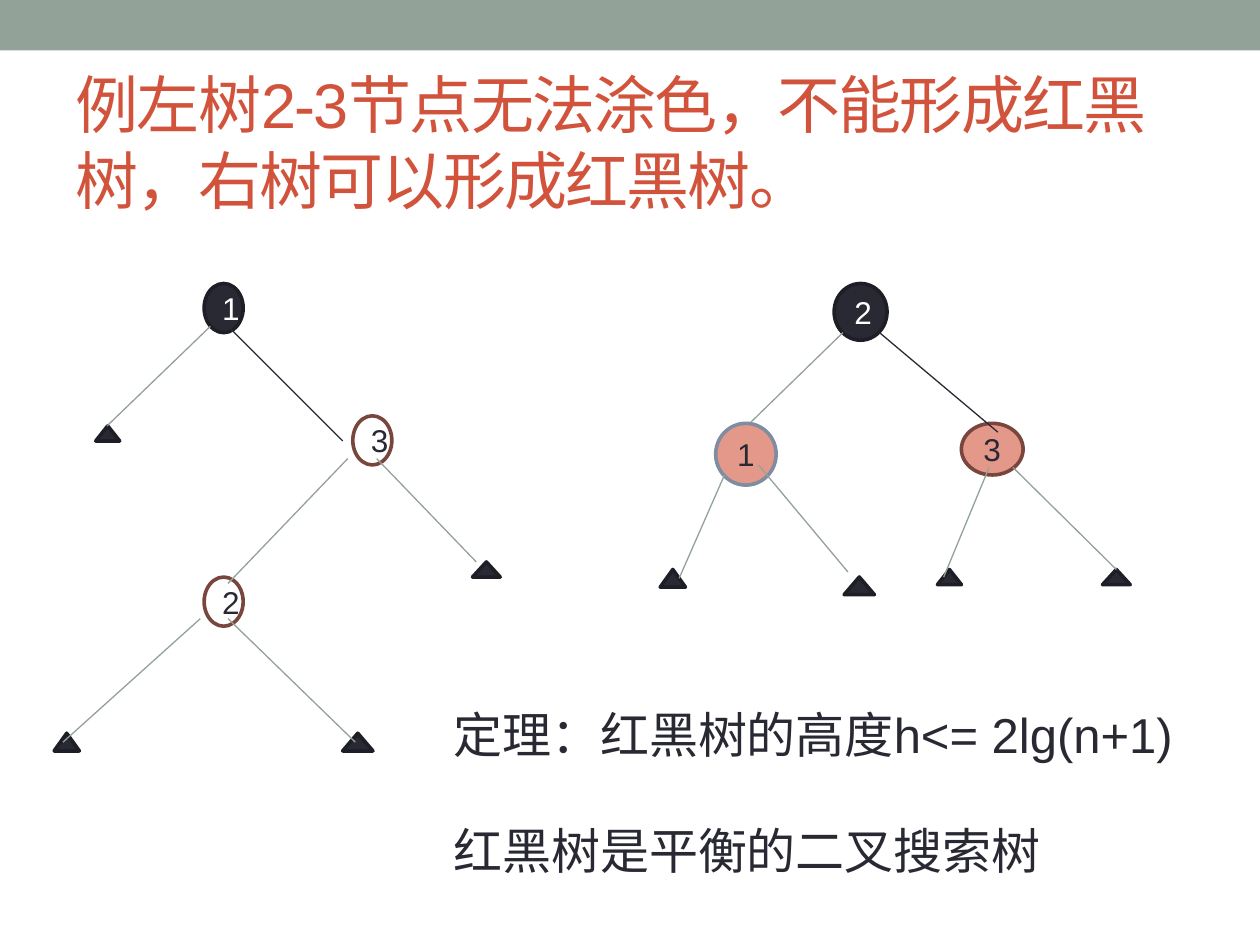
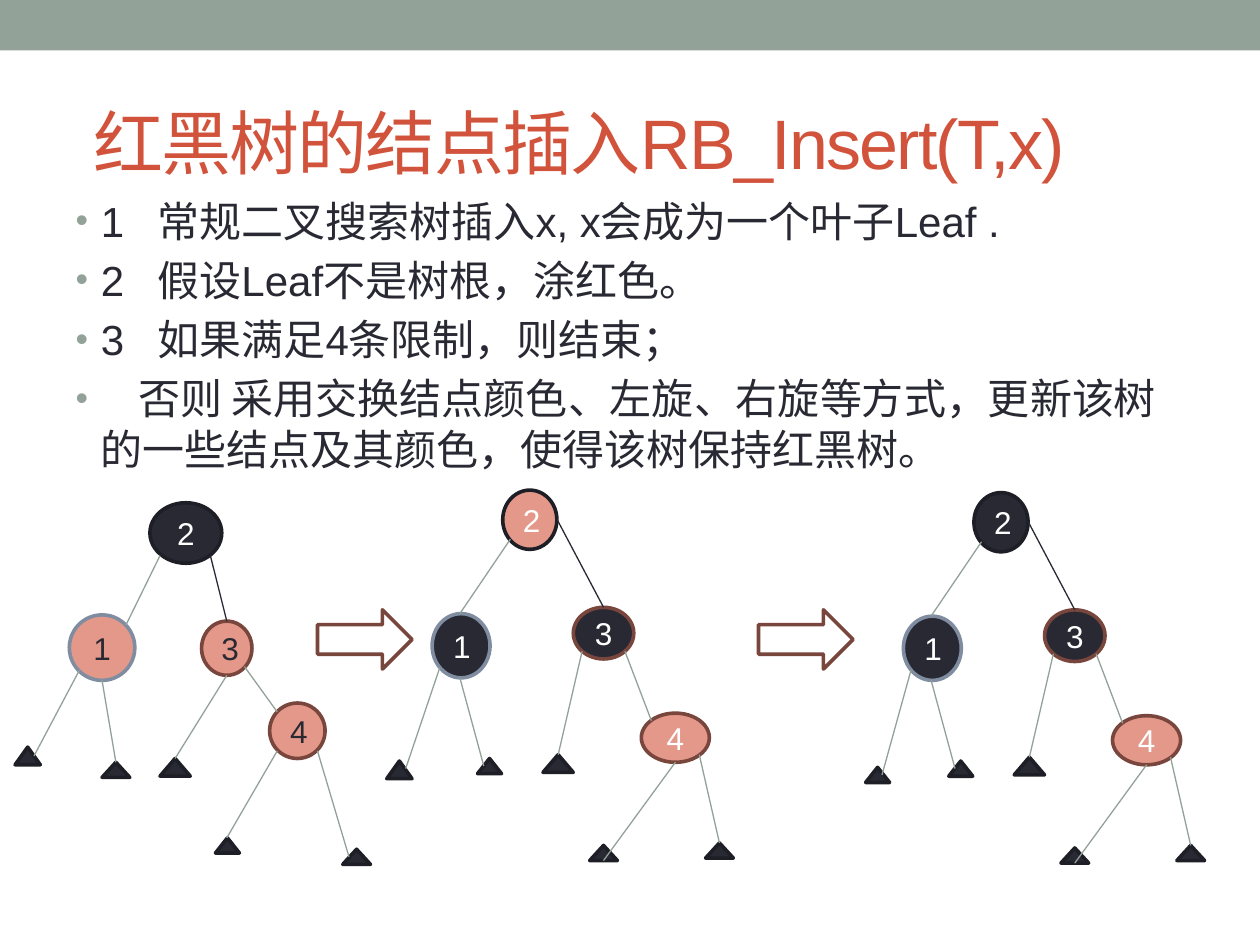
from lxml import etree
from pptx import Presentation
from pptx import util as u
from pptx.dml.color import RGBColor
from pptx.enum import lang, shapes, text
from pptx.oxml import ns

PX = 9144  # EMU in one px, 100 px to the inch
FONT = "Arial"
SAGE, RUST, WHITE = "93A299", "D2533C", "FFFFFF"
INK, INK_EDGE = "292934", "1E1E26"
RED, BROWN, STEEL = "E4988A", "79463D", "808DA0"


def px(*lengths):
    return [u.Emu(length * PX) for length in lengths]


def rgb(colour):
    return RGBColor.from_string(colour)


def add_xml(parent, tag, **attributes):
    return etree.SubElement(parent, ns.qn(tag), attributes)


def write(paragraph, words, size=18, colour=INK, align=text.PP_ALIGN.LEFT,
          before=0, spacing=None, bullet=None, tab=None):
    """Fill one paragraph; spacing is in hundredths of a point, tab in px."""
    paragraph.alignment = align
    paragraph.space_before = u.Pt(before)
    props = paragraph._p.get_or_add_pPr()
    if bullet:
        props.set("marL", str(20 * PX))
        props.set("indent", str(-20 * PX))
        add_xml(add_xml(props, "a:buClr"), "a:srgbClr", val=SAGE)
        add_xml(props, "a:buSzPct", val="85000")
        add_xml(props, "a:buFont", typeface=FONT)
        add_xml(props, "a:buChar", char=bullet)
    if tab:
        add_xml(add_xml(props, "a:tabLst"), "a:tab", pos=str(tab * PX), algn="l")
    run = paragraph.add_run()
    run.text = words
    run.font.name = FONT
    run.font.size = u.Pt(size)
    run.font.color.rgb = rgb(colour)
    run.font.language_id = lang.MSO_LANGUAGE_ID.SIMPLIFIED_CHINESE
    if spacing:
        run._r.get_or_add_rPr().set("spc", str(spacing))


class Deck:
    def __init__(self):
        self.show = Presentation()
        self.show.slide_width, self.show.slide_height = px(1000, 750)
        self.slide = None

    def new_slide(self, layout, title, size, pad=10):
        self.slide = self.show.slides.add_slide(self.show.slide_layouts[layout])
        self.shape(shapes.MSO_SHAPE.RECTANGLE, (0, 0, 1000, 40), SAGE)
        frame = self.place(self.slide.shapes.title, (50, 58, 900, 108))
        frame.vertical_anchor = text.MSO_ANCHOR.MIDDLE
        frame.margin_left = px(pad)[0]
        write(frame.paragraphs[0], title, size=size, colour=RUST, spacing=-100)

    def place(self, box, at):
        box.left, box.top, box.width, box.height = px(*at)
        frame = box.text_frame
        frame.word_wrap = True
        frame.auto_size = text.MSO_AUTO_SIZE.NONE
        return frame

    def shape(self, preset, at, fill, edge=None):
        shape = self.slide.shapes.add_shape(preset, *px(*at))
        shape.shadow.inherit = False
        shape.fill.solid()
        shape.fill.fore_color.rgb = rgb(fill)
        if edge:
            shape.line.color.rgb = rgb(edge)
            shape.line.width = u.Pt(2.08)
        else:
            shape.line.fill.background()
        return shape

    def node(self, key, at, fill, edge, ink):
        circle = self.shape(shapes.MSO_SHAPE.OVAL, at, fill, edge)
        write(circle.text_frame.paragraphs[0], key, colour=ink,
              align=text.PP_ALIGN.CENTER)

    def leaf(self, at):
        self.shape(shapes.MSO_SHAPE.ISOSCELES_TRIANGLE, at, INK, INK_EDGE)

    def arrow(self, at):
        self.shape(shapes.MSO_SHAPE.RIGHT_ARROW, at, WHITE, BROWN)

    def branch(self, ends, colour=SAGE):
        line = self.slide.shapes.add_connector(
            shapes.MSO_CONNECTOR.STRAIGHT, *px(*ends))
        line.line.color.rgb = rgb(colour)
        line.line.width = u.Pt(0.75)
        add_xml(line._element.spPr, "a:effectLst")

    def tree(self, nodes, leaves, trunk, branches, dx=0, dy=0):
        """Draw a tree moved by dx, dy; the trunk is its one dark branch."""
        def moved(at):
            return at[0] + dx, at[1] + dy, *at[2:]

        def moved_ends(ends):
            return [end + step for end, step in zip(ends, (dx, dy, dx, dy))]

        for key, at, *colours in nodes:
            self.node(key, moved(at), *colours)
        for at in leaves:
            self.leaf(moved(at))
        self.branch(moved_ends(trunk), INK)
        for ends in branches:
            self.branch(moved_ends(ends))

    def theorem(self, at, lines):
        frame = self.place(self.slide.shapes.add_textbox(*px(*at)), at)
        for number, words in enumerate(lines):
            row = frame.add_paragraph() if number else frame.paragraphs[0]
            write(row, words, size=28, before=33 if number else 0)

    def steps(self, at, lines):
        frame = self.place(self.slide.placeholders[1], at)
        for number, (words, tab) in enumerate(lines):
            row = frame.add_paragraph() if number else frame.paragraphs[0]
            write(row, words, size=24, before=5 if number else 0,
                  bullet="•", tab=tab)


def colouring_slide(deck):
    deck.new_slide(5, "例左树2-3节点无法涂色，不能形成红黑树，右树可以形成红黑树。", 36)
    # Left tree: nodes 2 and 3 cannot be coloured
    deck.tree(
        nodes=[("1", (162, 225, 31, 39), INK, INK_EDGE, WHITE),
               ("3", (280, 330, 31, 39), WHITE, BROWN, INK),
               ("2", (162, 458, 31, 39), WHITE, BROWN, INK)],
        leaves=[(375, 446, 22, 12), (76, 338, 19, 12),
                (43, 582, 20, 14), (272, 582, 24, 14)],
        trunk=(181, 259, 272, 350),
        branches=[(276, 364, 181, 463), (167, 259, 85, 338),
                  (159, 491, 50, 589), (181, 491, 282, 589),
                  (299, 364, 378, 446)])
    # Right tree: a valid red-black tree
    deck.tree(
        nodes=[("2", (662, 225, 42, 45), INK, INK_EDGE, WHITE),
               ("3", (763, 336, 49, 41), RED, BROWN, INK),
               ("1", (568, 336, 48, 49), RED, STEEL, INK)],
        leaves=[(875, 452, 22, 12), (744, 452, 19, 12),
                (524, 452, 20, 14), (670, 458, 24, 14)],
        trunk=(698, 264, 792, 343),
        branches=[(785, 371, 749, 458), (669, 264, 596, 335),
                  (575, 377, 539, 459), (602, 369, 673, 454),
                  (804, 371, 886, 452)])
    deck.theorem((350, 554, 639, 151),
                 ["定理：红黑树的高度h<= 2lg(n+1)", "红黑树是平衡的二叉搜索树"])


def recoloured_tree(deck, root_fill, outer_leaf, outer_branch, dx=0, dy=0):
    deck.tree(
        nodes=[("2", (399, 389, 43, 47), root_fill, INK_EDGE, WHITE),
               ("3", (455, 482, 48, 41), INK, BROWN, WHITE),
               ("1", (343, 487, 46, 51), INK, STEEL, WHITE),
               ("4", (509, 566, 54, 39), RED, BROWN, WHITE)],
        leaves=[outer_leaf, (379, 602, 19, 12), (431, 599, 24, 14),
                (468, 671, 22, 12), (560, 669, 22, 12)],
        trunk=(442, 412, 479, 482),
        branches=[outer_branch, (365, 538, 384, 608), (405, 428, 365, 487),
                  (496, 517, 517, 572), (462, 517, 443, 599),
                  (555, 599, 571, 669), (536, 605, 479, 683)],
        dx=dx, dy=dy)


def insertion_slide(deck):
    deck.new_slide(1, "红黑树的结点插入RB_Insert(T,x)", 40, pad=24)
    deck.steps((50, 150, 900, 575), [
        ("1\t常规二叉搜索树插入x, x会成为一个叶子Leaf .", 65),
        ("2\t假设Leaf不是树根，涂红色。", 65),
        ("3\t如果满足4条限制，则结束；", 65),
        ("\t否则 采用交换结点颜色、左旋、右旋等方式，"
         "更新该树的一些结点及其颜色，使得该树保持红黑树。", 50)])
    # Node 4 has just been inserted
    deck.tree(
        nodes=[("2", (119, 399, 57, 48), INK, INK_EDGE, WHITE),
               ("3", (160, 493, 40, 43), RED, BROWN, INK),
               ("1", (55, 488, 52, 52), RED, STEEL, INK),
               ("4", (214, 558, 44, 44), RED, BROWN, INK)],
        leaves=[(81, 605, 22, 12), (171, 665, 19, 12), (12, 593, 20, 14),
                (127, 602, 24, 14), (272, 674, 22, 12)],
        trunk=(167, 441, 180, 493),
        branches=[(220, 596, 180, 665), (127, 441, 100, 496),
                  (63, 532, 27, 600), (180, 536, 139, 602),
                  (194, 529, 220, 565), (81, 540, 92, 605),
                  (252, 596, 277, 680)])
    # Colours swapped, then the root turned black
    recoloured_tree(deck, RED, (307, 604, 20, 14), (349, 530, 322, 610))
    recoloured_tree(deck, INK, (313, 607, 19, 12), (349, 530, 326, 613),
                    dx=374, dy=2)
    for left in (252, 602):
        deck.arrow((left, 484, 75, 47))


def main():
    deck = Deck()
    colouring_slide(deck)
    insertion_slide(deck)
    deck.show.save("out.pptx")


if __name__ == "__main__":
    main()
